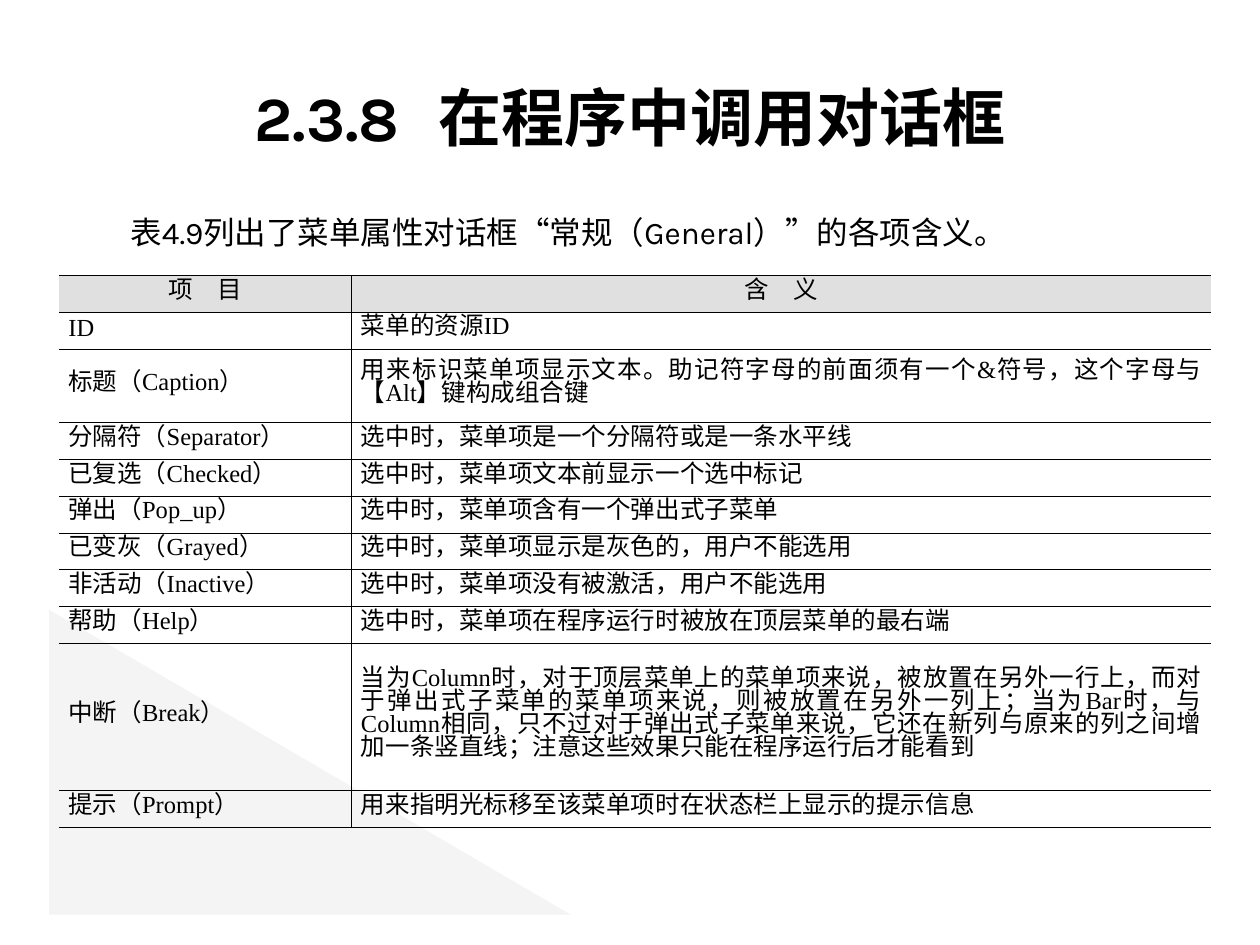
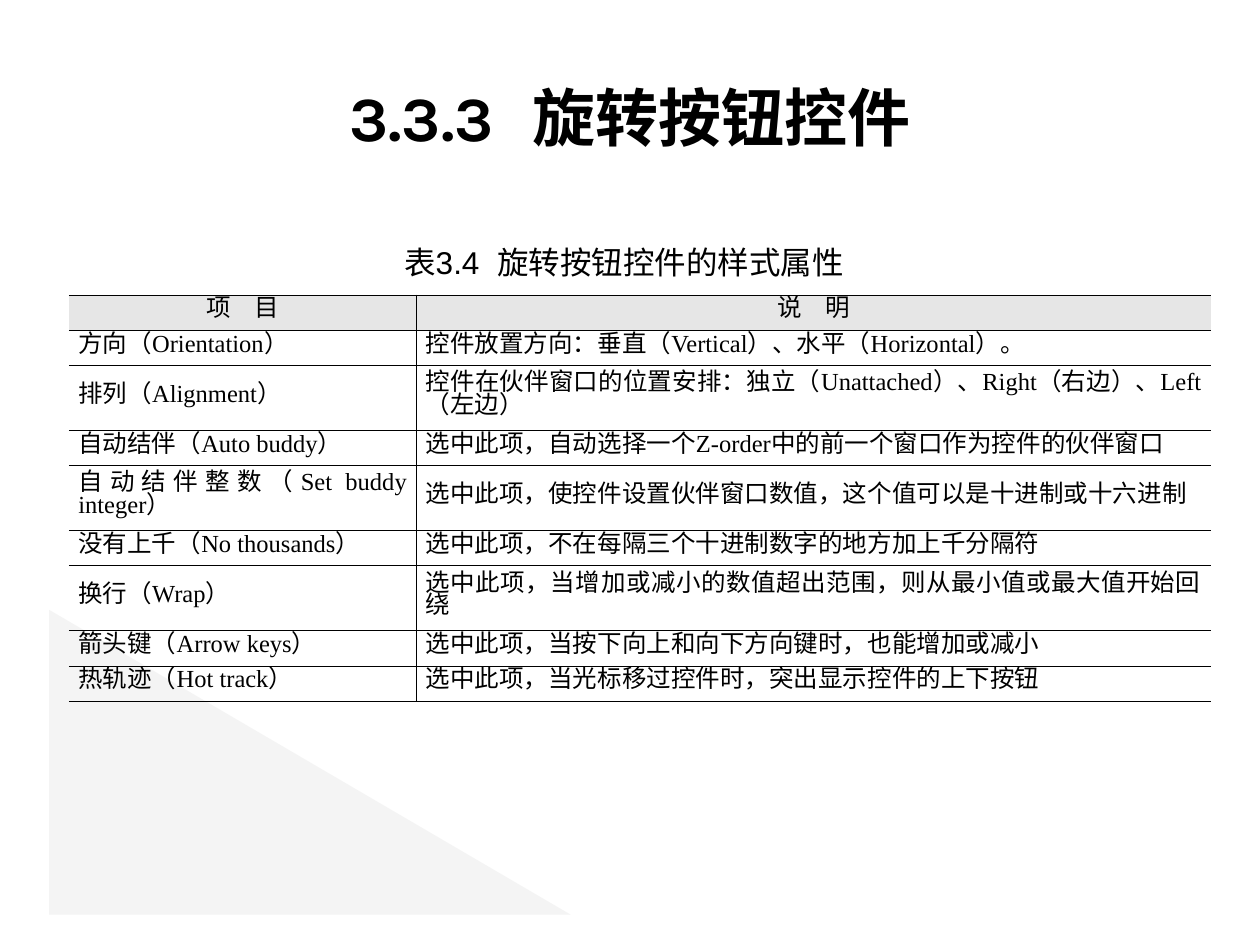
from typing import NamedTuple

from lxml.etree import SubElement as Sub
from pptx import Presentation
from pptx.dml.color import RGBColor as RGB
from pptx.enum.shapes import MSO_SHAPE as Shape
from pptx.enum.text import MSO_ANCHOR as Anchor, PP_ALIGN as Align
from pptx.oxml import parse_xml
from pptx.oxml.ns import nsdecls, qn
from pptx.util import Pt

BLACK = RGB(0x00, 0x00, 0x00)
PALE = RGB(0xF2, 0xF2, 0xF2)
GREY = RGB(0xE0, 0xE0, 0xE0)
LIGHT = RGB(0xE6, 0xE6, 0xE6)
GAP = "|"  # stands for a widened space in a text
RULE = 0.45  # width of the table lines


class Style(NamedTuple):
    font: str
    size: float
    gap: float = 0  # extra width of a widened space
    bold: bool = False


class Label(NamedTuple):
    text: str
    left: float
    top: float
    width: float
    style: Style


class Row(NamedTuple):
    item: str
    sense: str
    lines: int = 1


class Grid(NamedTuple):
    left: float
    top: float
    cols: tuple[float, float]
    unit: float  # height of a one-line row
    head: RGB
    rows: list[Row]


class Page(NamedTuple):
    title: str
    label: Label
    grid: Grid


HEAD = Style("Karla", 36, 13, True)
CELL = Style("Times New Roman", 14, 10.5)

PAGES = [
    Page(
        "2.3.8|在程序中调用对话框",
        Label("表4.9列出了菜单属性对话框“常规（General）”的各项含义。",
              67.5, 118, 585, Style("Karla", 18)),
        Grid(33.7, 157.5, (167.2, 491), 21.03, GREY, [
            Row("项|目", "含|义"),
            Row("ID", "菜单的资源ID"),
            Row("标题（Caption）", "用来标识菜单项显示文本。助记符字母的前面须有一个&符号，"
                "这个字母与【Alt】键构成组合键", 2),
            Row("分隔符（Separator）", "选中时，菜单项是一个分隔符或是一条水平线"),
            Row("已复选（Checked）", "选中时，菜单项文本前显示一个选中标记"),
            Row("弹出（Pop_up）", "选中时，菜单项含有一个弹出式子菜单"),
            Row("已变灰（Grayed）", "选中时，菜单项显示是灰色的，用户不能选用"),
            Row("非活动（Inactive）", "选中时，菜单项没有被激活，用户不能选用"),
            Row("帮助（Help）", "选中时，菜单项在程序运行时被放在顶层菜单的最右端"),
            Row("中断（Break）", "当为Column时，对于顶层菜单上的菜单项来说，被放置在另外一行上，"
                "而对于弹出式子菜单的菜单项来说，则被放置在另外一列上；当为Bar时，与Column相同，"
                "只不过对于弹出式子菜单来说，它还在新列与原来的列之间增加一条竖直线；"
                "注意这些效果只能在程序运行后才能看到", 4),
            Row("提示（Prompt）", "用来指明光标移至该菜单项时在状态栏上显示的提示信息"),
        ]),
    ),
    Page(
        "3.3.3|旋转按钮控件",
        Label("表3.4|旋转按钮控件的样式属性", 223.9, 135.4, 320, Style("Arial", 18, 5)),
        Grid(39.4, 168.5, (198.5, 454), 18.48, LIGHT, [
            Row("项|目", "说|明"),
            Row("方向（Orientation）", "控件放置方向：垂直（Vertical）、水平（Horizontal）。"),
            Row("排列（Alignment）", "控件在伙伴窗口的位置安排：独立（Unattached）、"
                "Right（右边）、Left（左边）", 2),
            Row("自动结伴（Auto buddy）", "选中此项，自动选择一个Z-order中的前一个窗口作为控件的伙伴窗口"),
            Row("自动结伴整数（Set buddy integer）",
                "选中此项，使控件设置伙伴窗口数值，这个值可以是十进制或十六进制", 2),
            Row("没有上千（No thousands）", "选中此项，不在每隔三个十进制数字的地方加上千分隔符"),
            Row("换行（Wrap）", "选中此项，当增加或减小的数值超出范围，则从最小值或最大值开始回绕", 2),
            Row("箭头键（Arrow keys）", "选中此项，当按下向上和向下方向键时，也能增加或减小"),
            Row("热轨迹（Hot track）", "选中此项，当光标移过控件时，突出显示控件的上下按钮"),
        ]),
    ),
]


def write(par, text: str, style: Style) -> None:
    """Add the text run by run, with a wide space at each gap mark."""
    for i, part in enumerate(text.split(GAP)):
        for word in ([" ", part] if i else [part]):
            run = par.add_run()
            run.text = word
            font = run.font
            font.name, font.size, font.bold = style.font, Pt(style.size), style.bold
            font.color.rgb = BLACK
            if word == " ":
                font._element.set("spc", str(round(style.gap * 100)))


def add_wedge(slide, layout) -> None:
    """Put the pale corner triangle on the shared layout."""
    wedge = slide.shapes.add_shape(
        Shape.RIGHT_TRIANGLE, Pt(28.1), Pt(348.5), Pt(298), Pt(174.2))
    wedge.shadow.inherit = False
    wedge.fill.solid()
    wedge.fill.fore_color.rgb = PALE
    wedge.line.fill.background()
    tint = wedge.element.spPr.find(qn("a:solidFill"))[0]
    Sub(tint, qn("a:alpha"), val="83000")
    wedge.element.nvSpPr.cNvPr.set("id", "20")
    layout.shapes.element.insert(2, wedge.element)


def add_title(slide, text: str) -> None:
    title = slide.shapes.title
    title.left, title.top, title.width, title.height = map(Pt, (36, 21.6, 648, 90))
    frame = title.text_frame
    frame.vertical_anchor = Anchor.MIDDLE
    par = frame.paragraphs[0]
    par.alignment = Align.CENTER
    write(par, text, HEAD)


def add_label(slide, label: Label) -> None:
    box = slide.shapes.add_textbox(
        Pt(label.left), Pt(label.top), Pt(label.width), Pt(29))
    box.text_frame.word_wrap = True
    write(box.text_frame.paragraphs[0], label.text, label.style)


def rule(cell, sides: str) -> None:
    """Draw black lines on the given sides and none on the others."""
    props = cell._tc.get_or_add_tcPr()
    for i, side in enumerate("LRTB"):
        paint = (f'<a:solidFill><a:srgbClr val="{BLACK}"/></a:solidFill>'
                 if side in sides else "<a:noFill/>")
        props.insert(i, parse_xml(
            f'<a:ln{side} {nsdecls("a")} w="{Pt(RULE)}">{paint}</a:ln{side}>'))


def add_grid(slide, grid: Grid) -> None:
    high = grid.unit * sum(row.lines for row in grid.rows)
    table = slide.shapes.add_table(
        len(grid.rows), 2, Pt(grid.left), Pt(grid.top),
        Pt(sum(grid.cols)), Pt(high)).table
    table.first_row = table.horz_banding = False
    for col, width in zip(table.columns, grid.cols):
        col.width = Pt(width)
    for r, row in enumerate(grid.rows):
        table.rows[r].height = Pt(grid.unit * row.lines)
        for c, text in enumerate((row.item, row.sense)):
            cell = table.cell(r, c)
            rule(cell, "LTB" if c else "RTB")
            if r:
                cell.fill.background()
            else:
                cell.fill.solid()
                cell.fill.fore_color.rgb = grid.head
            cell.margin_left = cell.margin_right = Pt(5.4)
            cell.margin_top = cell.margin_bottom = Pt(3.6)
            cell.vertical_anchor = Anchor.MIDDLE
            par = cell.text_frame.paragraphs[0]
            par.alignment = Align.JUSTIFY if r else Align.CENTER
            par.line_spacing = Pt(13)
            write(par, text, CELL)


def main() -> None:
    deck = Presentation()
    deck.slide_width, deck.slide_height = Pt(720), Pt(540)
    layout = deck.slide_layouts[5]  # title only
    for i, page in enumerate(PAGES):
        slide = deck.slides.add_slide(layout)
        if i == 0:
            add_wedge(slide, layout)
        add_title(slide, page.title)
        add_label(slide, page.label)
        add_grid(slide, page.grid)
    deck.save("out.pptx")


if __name__ == "__main__":
    main()
